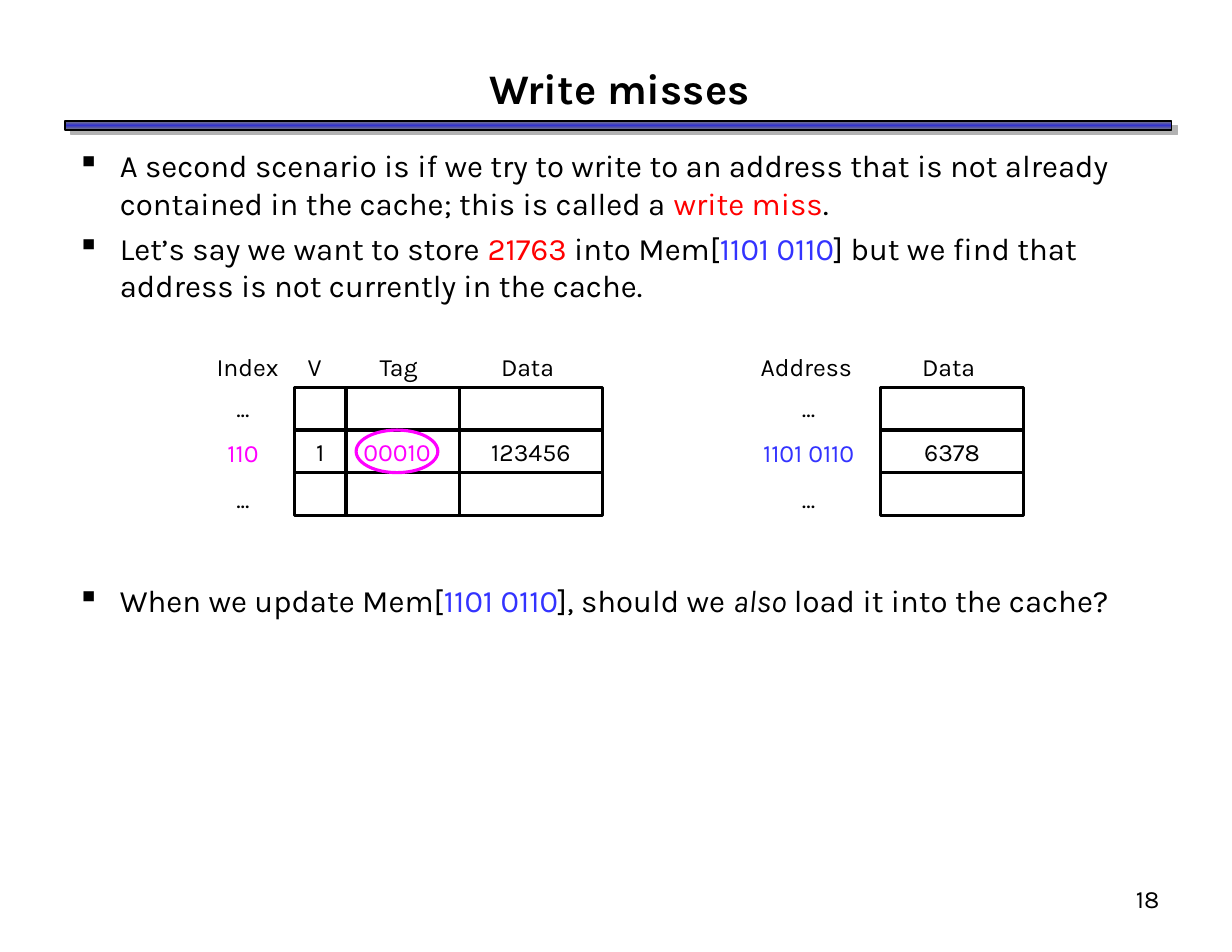
from copy import deepcopy

from pptx import Presentation
from pptx.dml.color import RGBColor
from pptx.enum.shapes import MSO_SHAPE as Shape
from pptx.enum.text import MSO_ANCHOR as Anchor, PP_ALIGN as Align
from pptx.oxml import parse_xml
from pptx.oxml.ns import nsdecls, qn
from pptx.util import Inches, Pt

THEME = {
    "font": "Karla",
    "title": 27, "body": 20, "label": 16,
    "black": "000000", "red": "FF0000", "blue": "3333FF", "magenta": "FF00FF",
    "bar_edge": "808080", "bar_middle": "3333CC", "bar_shadow": "B2B2B2",
}

# A run is (text, colour, italic); a plain string is black and upright.
TITLE = "Write misses"
PAGE_NUMBER = "18"
BULLETS = [
    ["A second scenario is if we try to write to an address that is not already "
     "contained in the cache; this is called a ", ("write miss", "red", False), "."],
    ["Let’s say we want to store ", ("21763", "red", False), " into Mem[",
     ("1101 0110", "blue", False),
     "] but we find that address is not currently in the cache."],
    ["When we update Mem[", ("1101 0110", "blue", False), "], should we ",
     ("also", "black", True), " load it into the cache?"],
]
BULLET_GAPS = [0, 5, 178.5]  # the last one leaves room for the diagrams

# Labels and headings are (text, centre, width); columns are (width, middle value).
MEMORIES = [
    {"left": 2.63,
     "columns": [(0.46, "1"), (1.01, ""), (1.28, "123456")],
     "headings": [("Index", 2.21, 0.81), ("V", 2.81, 0.36),
                  ("Tag", 3.56, 0.61), ("Data", 4.71, 0.71)],
     "rows": (["...", ("110", "magenta", False), "..."], 2.17, 0.6)},
    {"left": 7.86,
     "columns": [(1.28, "6378")],
     "headings": [("Address", 7.2, 1.07), ("Data", 8.47, 0.71)],
     "rows": (["...", ("1101 0110", "blue", False), "..."], 7.22, 1.3)},
]
TAG = ("00010", "magenta", False)
GRID_TOP, ROW_HEIGHT, ROW_COUNT = 3.46, 0.38, 3


def colour(name):
    return RGBColor.from_string(THEME[name])


def write(shape, paragraphs, size="label", align=Align.CENTER, anchor=Anchor.MIDDLE,
          wrap=False, bold=False, gaps=None, bullet=None):
    """Fill a shape with paragraphs, each of them a list of runs."""
    frame = shape.text_frame
    frame.word_wrap = wrap
    frame.vertical_anchor = anchor
    frame.margin_left = frame.margin_right = Inches(0.11)
    frame.margin_top = frame.margin_bottom = Inches(0.06)
    for index, runs in enumerate(paragraphs):
        paragraph = frame.add_paragraph() if index else frame.paragraphs[0]
        if bullet:
            add_bullet(paragraph, bullet)
        paragraph.alignment = align
        paragraph.space_before = Pt(gaps[index] if gaps else 0)
        for item in runs:
            text, color, italic = (item, "black", False) if isinstance(item, str) else item
            run = paragraph.add_run()
            run.text = text
            run.font.name = THEME["font"]
            run.font.size = Pt(THEME[size])
            run.font.bold = bold
            run.font.italic = italic
            run.font.color.rgb = colour(color)


def add_bullet(paragraph, character):
    properties = paragraph._p.get_or_add_pPr()
    properties.set("marL", str(Inches(0.38)))
    properties.set("indent", str(-Inches(0.38)))
    properties.append(parse_xml(
        f'<a:buClr {nsdecls("a")}><a:srgbClr val="{THEME["black"]}"/></a:buClr>'))
    properties.append(parse_xml(f'<a:buChar {nsdecls("a")} char="{character}"/>'))


def add_text(slide, paragraphs, left, top, width, height, **style):
    box = slide.shapes.add_textbox(*map(Inches, (left, top, width, height)))
    write(box, paragraphs, **style)


def add_outline(slide, kind, left, top, width, height, line="black", weight=2):
    shape = slide.shapes.add_shape(kind, *map(Inches, (left, top, width, height)))
    shape.shadow.inherit = False
    shape.fill.background()
    shape.line.color.rgb = colour(line)
    shape.line.width = Pt(weight)
    return shape


def add_title_bar(slide):
    """Draw the bar under the title, with its gradient and offset shadow."""
    bar = add_outline(slide, Shape.RECTANGLE, 0.58, 1.08, 9.88, 0.08, weight=1)
    bar.fill.gradient()
    bar.fill.gradient_angle = 90
    properties = bar.element.spPr
    stop_list = properties.find(qn("a:gradFill")).find(qn("a:gsLst"))
    stop_list.append(deepcopy(stop_list[0]))
    colours = ("bar_edge", "bar_middle", "bar_edge")
    for stop, name, position in zip(bar.fill.gradient_stops, colours, (0, 0.5, 1)):
        stop.color.rgb = colour(name)
        stop.position = position
    properties.find(qn("a:effectLst")).append(parse_xml(
        f'<a:outerShdw {nsdecls("a")} dist="{Pt(5)}" dir="{37 * 60000}" '
        f'algn="ctr" rotWithShape="0"><a:srgbClr val="{THEME["bar_shadow"]}"/>'
        '</a:outerShdw>'))


def add_memory(slide, memory):
    left = memory["left"]
    for width, value in memory["columns"]:
        for row in range(ROW_COUNT):
            cell = add_outline(slide, Shape.RECTANGLE, left, GRID_TOP + row * ROW_HEIGHT,
                               width, ROW_HEIGHT)
            if row == 1 and value:
                write(cell, [[value]])
        left += width
    for text, centre, width in memory["headings"]:
        add_text(slide, [[text]], centre - width / 2, GRID_TOP - ROW_HEIGHT,
                 width, ROW_HEIGHT)
    labels, centre, width = memory["rows"]
    add_text(slide, [[label] for label in labels], centre - width / 2, 3.45, width, 1.19,
             gaps=[0, 10, 10])


def main():
    presentation = Presentation()
    presentation.slide_width, presentation.slide_height = Inches(11), Inches(8.5)
    slide = presentation.slides.add_slide(presentation.slide_layouts[5])

    add_title_bar(slide)
    title = slide.shapes.title
    title.left, title.top, title.width, title.height = map(Inches, (0.58, 0.5, 9.9, 0.57))
    write(title, [[TITLE]], size="title", wrap=True, bold=True)

    add_text(slide, BULLETS, 0.58, 1.25, 9.87, 6.5, size="body", align=Align.LEFT,
             anchor=Anchor.TOP, wrap=True, gaps=BULLET_GAPS, bullet="▪")
    for memory in MEMORIES:
        add_memory(slide, memory)
    ring = add_outline(slide, Shape.OVAL, 3.18, GRID_TOP + ROW_HEIGHT, 0.73, ROW_HEIGHT,
                       line="magenta")
    write(ring, [[TAG]])
    add_text(slide, [[PAGE_NUMBER]], 8.17, 7.83, 2.29, 0.57, align=Align.RIGHT,
             anchor=Anchor.TOP, wrap=True)

    presentation.save("out.pptx")


if __name__ == "__main__":
    main()
